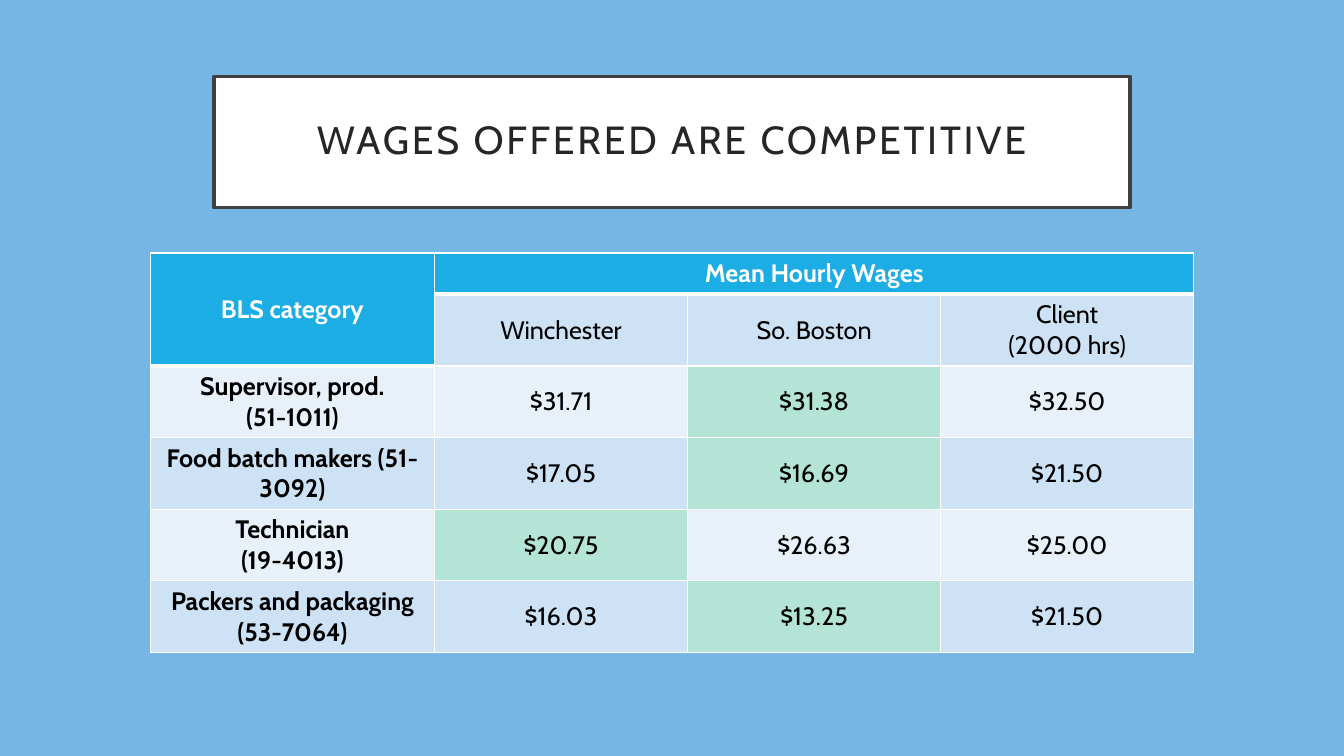
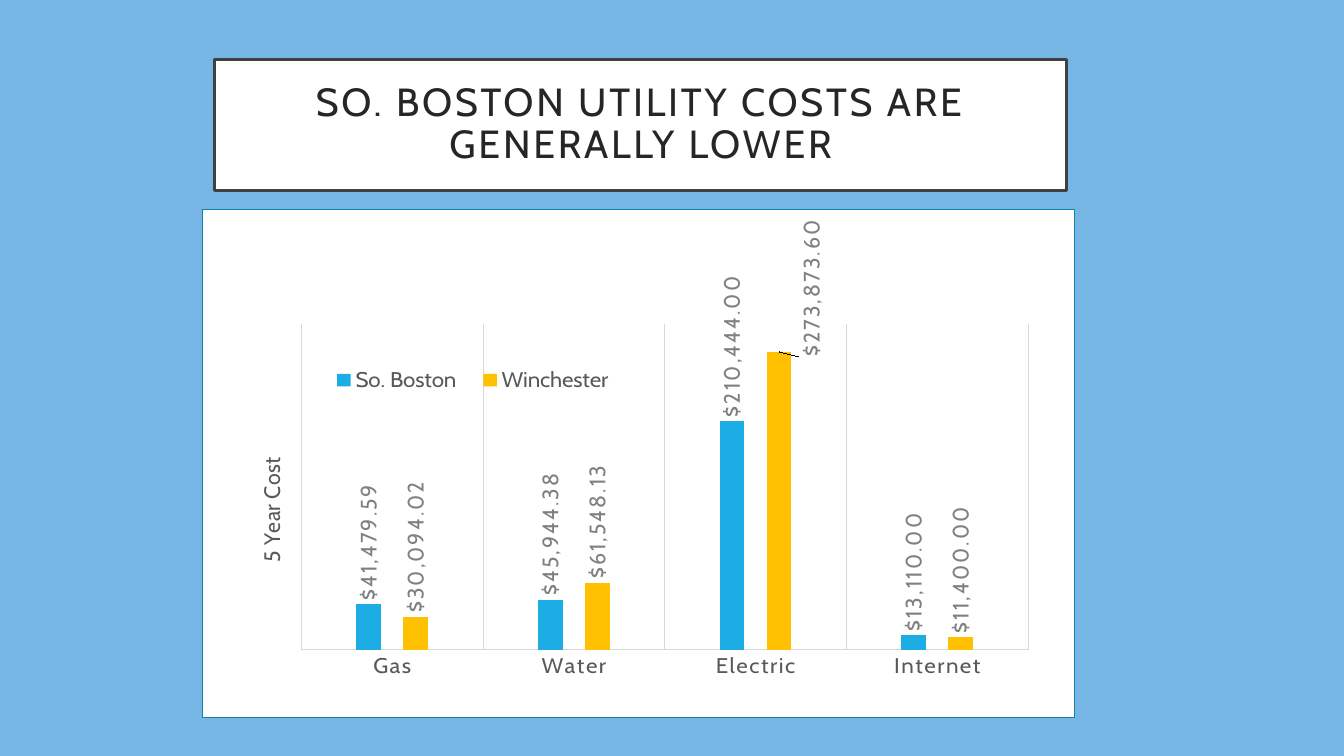
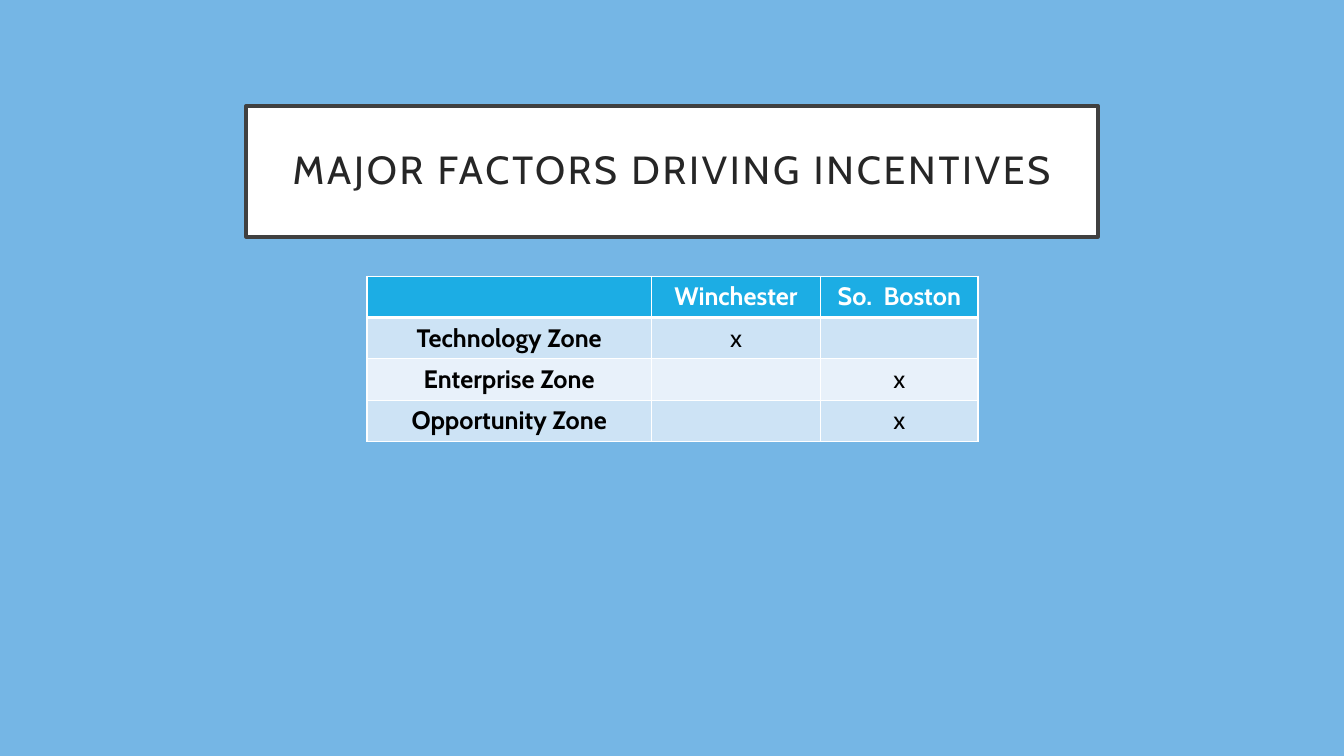
from lxml.etree import SubElement
from pptx import Presentation
from pptx.chart.data import CategoryChartData
from pptx.dml.color import RGBColor
from pptx.enum.chart import XL_CHART_TYPE, XL_LABEL_POSITION, XL_LEGEND_POSITION, XL_TICK_MARK
from pptx.enum.shapes import MSO_SHAPE
from pptx.enum.text import MSO_ANCHOR, PP_ALIGN
from pptx.oxml import parse_xml
from pptx.oxml.ns import nsdecls, qn
from pptx.util import Inches, Pt

FONT = "Cabin"
COLORS = {
    "sky": "75B6E5", "white": "FFFFFF", "black": "000000", "frame": "404040",
    "title": "262626", "header": "1CADE4", "band_dark": "CDE3F5",
    "band_light": "E8F1FA", "lowest": "B3E4D6", "panel_line": "1580A9",
    "axis_text": "595959", "label_text": "808080", "grid": "D9D9D9", "gold": "FFC000",
}
CURRENCY = '"$"#,##0.00'

TITLES = [
    ("WAGES OFFERED ARE COMPETITIVE", (2.12, 0.76, 9.09, 1.3)),
    ("SO. BOSTON UTILITY COSTS ARE GENERALLY LOWER", (2.13, 0.59, 8.45, 1.3)),
    ("MAJOR FACTORS DRIVING INCENTIVES", (2.44, 1.05, 8.45, 1.3)),
]

WAGES = {
    "at": (1.49, 2.51),
    "columns": [2.82, 2.51, 2.51, 2.51],
    "heights": [0.41] + [0.71] * 5,
    "rows": [
        ["BLS category", "Mean Hourly Wages", "", ""],
        ["", "Winchester", "So. Boston", "Client\n(2000 hrs)"],
        ["Supervisor, prod.\n(51-1011)", "$31.71", "$31.38", "$32.50"],
        ["Food batch makers (51-3092)", "$17.05", "$16.69", "$21.50"],
        ["Technician\n(19-4013)", "$20.75", "$26.63", "$25.00"],
        ["Packers and packaging (53-7064)", "$16.03", "$13.25", "$21.50"],
    ],
    "headers": {(0, 0), (0, 1), (0, 2), (0, 3), (1, 0)},
    "lowest": {(2, 2), (3, 2), (4, 1), (5, 2)},
    "merges": [((0, 0), (1, 0)), ((0, 1), (0, 3))],
}

INCENTIVES = {
    "at": (3.64, 2.74),
    "columns": [2.82, 1.68, 1.56],
    "heights": [0.41] * 4,
    "rows": [
        ["", "Winchester", "So.  Boston"],
        ["Technology Zone", "x", ""],
        ["Enterprise Zone", "", "x"],
        ["Opportunity Zone", "", "x"],
    ],
    "headers": {(0, 0), (0, 1), (0, 2)},
    "lowest": set(),
    "merges": [],
}

PANEL = (2.01, 2.08, 8.65, 5.04)
CHART = (2.26, 2.25, 8.1, 4.54)
UTILITIES = ["Gas", "Water", "Electric", "Internet"]
COSTS = [
    ("So. Boston", "header", (41479.59, 45944.38, 210444, 13110)),
    ("Winchester", "gold", (30094.02, 61548.13, 273873.6, 11400)),
]
PLOT_LAYOUT = {"layoutTarget": "inner", "xMode": "edge", "yMode": "edge",
               "x": 0.09, "y": 0.17, "w": 0.89, "h": 0.75}
LEGEND_LAYOUT = {"xMode": "edge", "yMode": "edge", "x": 0.11, "y": 0.25, "w": 0.38, "h": 0.1}
AXIS_TITLE_LAYOUT = {"xMode": "edge", "yMode": "edge", "x": 0.03, "y": 0.48}
ELECTRIC_LABEL_LAYOUT = {"x": 0.04, "y": 0.02}


def rgb(name):
    return RGBColor.from_string(COLORS[name])


def inches(values):
    return [Inches(value) for value in values]


def set_font(font, size, color, bold=False):
    for name, value in {"name": FONT, "size": Pt(size), "bold": bold}.items():
        setattr(font, name, value)
    font.color.rgb = rgb(color)


def add_box(page, at, line_color, line_width):
    box = page.shapes.add_shape(MSO_SHAPE.RECTANGLE, *inches(at))
    box.shadow.inherit = False
    box.fill.solid()
    box.fill.fore_color.rgb = rgb("white")
    box.line.color.rgb = rgb(line_color)
    box.line.width = Pt(line_width)
    return box


def add_title(page, text, at):
    frame = add_box(page, at, "frame", 2.5).text_frame
    for side in ("left", "top", "right", "bottom"):
        setattr(frame, f"margin_{side}", Inches(0.2))
    frame.word_wrap = True
    frame.vertical_anchor = MSO_ANCHOR.MIDDLE
    para = frame.paragraphs[0]
    para.alignment = PP_ALIGN.CENTER
    para.line_spacing = 0.9
    span = para.add_run()
    span.text = text
    set_font(span.font, 28, "title")
    span.font._element.set("spc", "200")


def set_borders(cell, widths):
    properties = cell._tc.get_or_add_tcPr()
    for side, width in widths.items():
        line = SubElement(properties, qn(f"a:ln{side}"), w=str(Pt(width)))
        fill = SubElement(line, qn("a:solidFill"))
        SubElement(fill, qn("a:srgbClr"), val=COLORS["white"])


def add_grid(page, grid, first_band):
    rows, columns = grid["rows"], grid["columns"]
    size = (sum(columns), sum(grid["heights"]))
    table = page.shapes.add_table(len(rows), len(columns), *inches(grid["at"] + size)).table
    for column, width in zip(table.columns, columns):
        column.width = Inches(width)
    for row, height in zip(table.rows, grid["heights"]):
        row.height = Inches(height)
    bands = ("band_dark", "band_light")
    for row_index, texts in enumerate(rows):
        for column_index, text in enumerate(texts):
            spot = (row_index, column_index)
            header = spot in grid["headers"]
            below_header = (row_index - 1, column_index) in grid["headers"]
            cell = table.cell(*spot)
            set_borders(cell, {"L": 1, "R": 1, "T": 3 if below_header else 1,
                               "B": 3 if header else 1})
            band = bands[(row_index - first_band) % 2]
            fill = "header" if header else "lowest" if spot in grid["lowest"] else band
            cell.fill.solid()
            cell.fill.fore_color.rgb = rgb(fill)
            cell.vertical_anchor = MSO_ANCHOR.MIDDLE
            cell.text = text
            for para in cell.text_frame.paragraphs:
                para.alignment = PP_ALIGN.CENTER
                set_font(para.font, 18, "white" if header else "black",
                         header or column_index == 0)
                for span in para.runs:
                    set_font(span.font, 18, "white" if header else "black",
                             header or column_index == 0)
    for start, end in grid["merges"]:
        table.cell(*start).merge(table.cell(*end))


def place(element, layout, after=None):
    for old in element.findall(qn("c:layout")):
        element.remove(old)
    node = parse_xml(f"<c:layout {nsdecls('c')}/>")
    manual = SubElement(node, qn("c:manualLayout"))
    for name, value in layout.items():
        SubElement(manual, qn(f"c:{name}"), val=str(value))
    if after is None:
        element.insert(0, node)
    else:
        element.find(qn(after)).addnext(node)


def style_text(holder, spacing, rotation=None):
    for properties in holder.iter(qn("a:defRPr")):
        properties.set("spc", str(spacing))
    if rotation is not None:
        for body in holder.iter(qn("a:bodyPr")):
            body.set("rot", str(rotation * 60000))
            body.set("vert", "horz")


def add_cost_chart(page):
    data = CategoryChartData(number_format=CURRENCY)
    data.categories = UTILITIES
    for name, _, values in COSTS:
        data.add_series(name, values)
    chart = page.shapes.add_chart(XL_CHART_TYPE.COLUMN_CLUSTERED, *inches(CHART), data).chart
    set_font(chart.font, 16, "black")
    chart.has_title = False
    chart.has_legend = True
    legend = chart.legend
    legend.position = XL_LEGEND_POSITION.TOP
    legend.include_in_layout = False
    set_font(legend.font, 16, "axis_text")
    place(legend._element, LEGEND_LAYOUT, "c:legendPos")

    plot = chart.plots[0]
    for name, value in {"gap_width": 444, "overlap": -90, "vary_by_categories": False}.items():
        setattr(plot, name, value)
    place(chart._chartSpace.chart.plotArea, PLOT_LAYOUT)

    category = chart.category_axis
    category.major_tick_mark = XL_TICK_MARK.NONE
    category.has_major_gridlines = True
    for line in (category.format.line, category.major_gridlines.format.line):
        line.color.rgb = rgb("grid")
        line.width = Pt(0.75)
    set_font(category.tick_labels.font, 16, "axis_text")
    style_text(category._element, 120)

    value_axis = chart.value_axis
    for name, value in {"minimum_scale": 0, "maximum_scale": 300000,
                        "has_major_gridlines": False, "visible": False}.items():
        setattr(value_axis, name, value)
    title = value_axis.axis_title
    title.text_frame.text = "5 Year Cost"
    set_font(title.text_frame.paragraphs[0].runs[0].font, 16, "axis_text")
    style_text(title._element, 0, -90)
    place(title._element, AXIS_TITLE_LAYOUT, "c:tx")

    for series, (_, color, _) in zip(plot.series, COSTS):
        series.format.fill.solid()
        series.format.fill.fore_color.rgb = rgb(color)
        labels = series.data_labels
        for name, value in {"show_value": True, "number_format": CURRENCY,
                            "number_format_is_linked": False,
                            "position": XL_LABEL_POSITION.OUTSIDE_END}.items():
            setattr(labels, name, value)
        set_font(labels.font, 16, "label_text")
        style_text(labels._element, 120, -90)

    electric = plot.series[1].points[UTILITIES.index("Electric")].data_label
    electric.position = XL_LABEL_POSITION.OUTSIDE_END
    set_font(electric.font, 16, "label_text")
    label = plot.series[1].data_labels._element.find(qn("c:dLbl"))
    style_text(label, 120, -90)
    place(label, ELECTRIC_LABEL_LAYOUT, "c:idx")


def main():
    deck = Presentation()
    deck.slide_width, deck.slide_height = inches((13.33, 7.5))
    background = deck.slide_master.background.fill
    background.solid()
    background.fore_color.rgb = rgb("sky")
    pages = []
    for text, at in TITLES:
        page = deck.slides.add_slide(deck.slide_layouts[6])
        add_title(page, text, at)
        pages.append(page)
    wages_page, utilities_page, incentives_page = pages
    add_grid(wages_page, WAGES, 1)
    add_box(utilities_page, PANEL, "panel_line", 1)
    add_cost_chart(utilities_page)
    add_grid(incentives_page, INCENTIVES, 1)
    deck.save("out.pptx")


if __name__ == "__main__":
    main()
